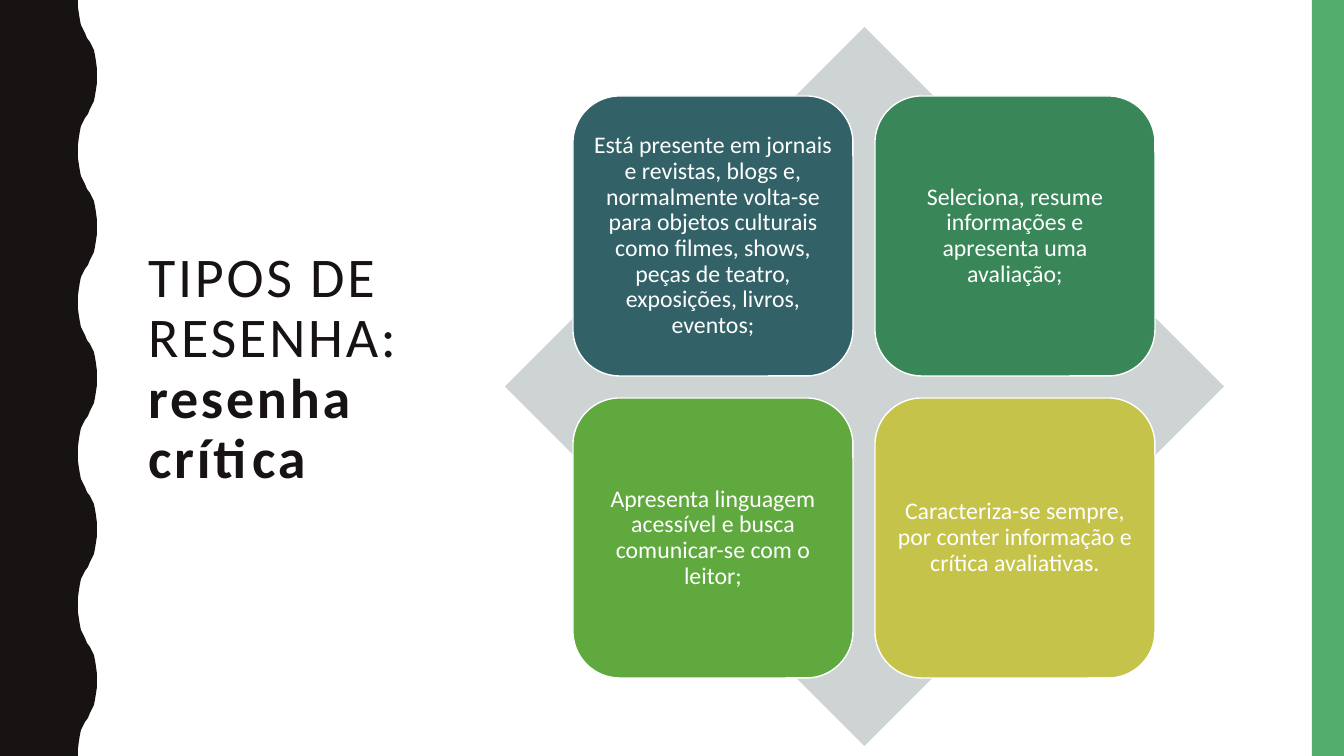
from pptx import Presentation
from pptx.dml.color import RGBColor
from pptx.enum.shapes import MSO_SHAPE
from pptx.enum.text import MSO_ANCHOR, MSO_AUTO_SIZE, PP_ALIGN
from pptx.util import Inches, Pt

TITLE = [("TIPOS DE RESENHA: ", False), ("resenha crítica", True)]
CARDS = [
    ("Está presente em jornais e revistas, blogs e, normalmente volta-se "
     "para objetos culturais como filmes, shows, peças de teatro, "
     "exposições, livros, eventos;", "326267"),
    ("Seleciona, resume informações e apresenta uma avaliação;", "398758"),
    ("Apresenta linguagem acessível e busca comunicar-se com o leitor;",
     "60A93F"),
    ("Caracteriza-se sempre, por conter informação e crítica avaliativas.",
     "C5C34A"),
]
THEME = {
    "font": "Calibri", "dark": "171312", "green": "53AE6E",
    "gray": "CED3D3", "white": "FFFFFF",
    "title": 40, "card": 17, "track": 200, "lead": 0.9,
}

PX = Inches(1) / 100.8
WIDE, HIGH = 1344, 756
TROUGH, WAVES = 78, 5
# Half a wave, going out from trough to crest: (across, down)
CURVE = [(0, 0), (0, 7), (1, 14), (2, 20), (3, 25), (5, 29), (7, 33), (9, 38),
         (12, 42), (14, 46), (16, 50), (17, 55), (18, 61), (19, 69)]
CREST = 19
CARD_X, CARD_Y, SIDE, STEP, PAD = 573, 96, 280, 302, 7


def emu(*nums):
    """Turn pixels into EMU."""
    return [round(n * PX) for n in nums]


def paint(shape, fill, line=None):
    """Give a shape a flat fill and an optional thin line."""
    shape.shadow.inherit = False
    shape.fill.solid()
    shape.fill.fore_color.rgb = RGBColor.from_string(fill)
    if line:
        shape.line.color.rgb = RGBColor.from_string(line)
        shape.line.width = Pt(1)
    else:
        shape.line.fill.background()
    return shape


def style(para, size, color, align):
    """Set the type and layout of a paragraph."""
    para.alignment = align
    para.line_spacing = THEME["lead"]
    para.font.name = THEME["font"]
    para.font.size = Pt(size)
    para.font.color.rgb = RGBColor.from_string(color)


def add_wave(slide):
    """Draw the dark band with its wavy edge."""
    half = HIGH / (2 * WAVES)
    edge = [(TROUGH + (CREST - dx if k % 2 else dx), k * half + dy)
            for k in range(2 * WAVES) for dx, dy in CURVE]
    pen = slide.shapes.build_freeform(0, 0, scale=PX)
    pen.add_line_segments(edge + [(TROUGH, HIGH), (0, HIGH)], close=True)
    paint(pen.convert_to_shape(), THEME["dark"])


def add_title(slide):
    """Fill and place the title."""
    title = slide.shapes.title
    title.left, title.top, title.width, title.height = emu(138, 72, 373, 596)
    frame = title.text_frame
    frame.word_wrap = True
    frame.auto_size = MSO_AUTO_SIZE.NONE
    frame.vertical_anchor = MSO_ANCHOR.MIDDLE
    para = frame.paragraphs[0]
    style(para, THEME["title"], THEME["dark"], PP_ALIGN.LEFT)
    for text, bold in TITLE:
        run = para.add_run()
        run.text = text
        run.font.bold = bold
        run._r.get_or_add_rPr().set("spc", str(THEME["track"]))


def add_card(slide, index, text, fill):
    """Add one card of the two by two grid."""
    row, col = divmod(index, 2)
    box = emu(CARD_X + col * STEP, CARD_Y + row * STEP, SIDE, SIDE)
    card = slide.shapes.add_shape(MSO_SHAPE.ROUNDED_RECTANGLE, *box)
    paint(card, fill, THEME["white"])
    frame = card.text_frame
    frame.word_wrap = True
    frame.vertical_anchor = MSO_ANCHOR.MIDDLE
    (frame.margin_left, frame.margin_top,
     frame.margin_right, frame.margin_bottom) = emu(PAD, PAD, PAD, PAD)
    frame.text = text
    style(frame.paragraphs[0], THEME["card"], THEME["white"],
          PP_ALIGN.CENTER)


def main():
    """Build and save the slide."""
    deck = Presentation()
    deck.slide_width, deck.slide_height = emu(WIDE, HIGH)
    slide = deck.slides.add_slide(deck.slide_layouts[5])
    add_wave(slide)
    for kind, box, fill in [
        (MSO_SHAPE.RECTANGLE, (1312, 0, 32, HIGH), THEME["green"]),
        (MSO_SHAPE.DIAMOND, (505, 27, 719, 719), THEME["gray"]),
    ]:
        paint(slide.shapes.add_shape(kind, *emu(*box)), fill)
    add_title(slide)
    for index, (text, fill) in enumerate(CARDS):
        add_card(slide, index, text, fill)
    deck.save("out.pptx")


main()
